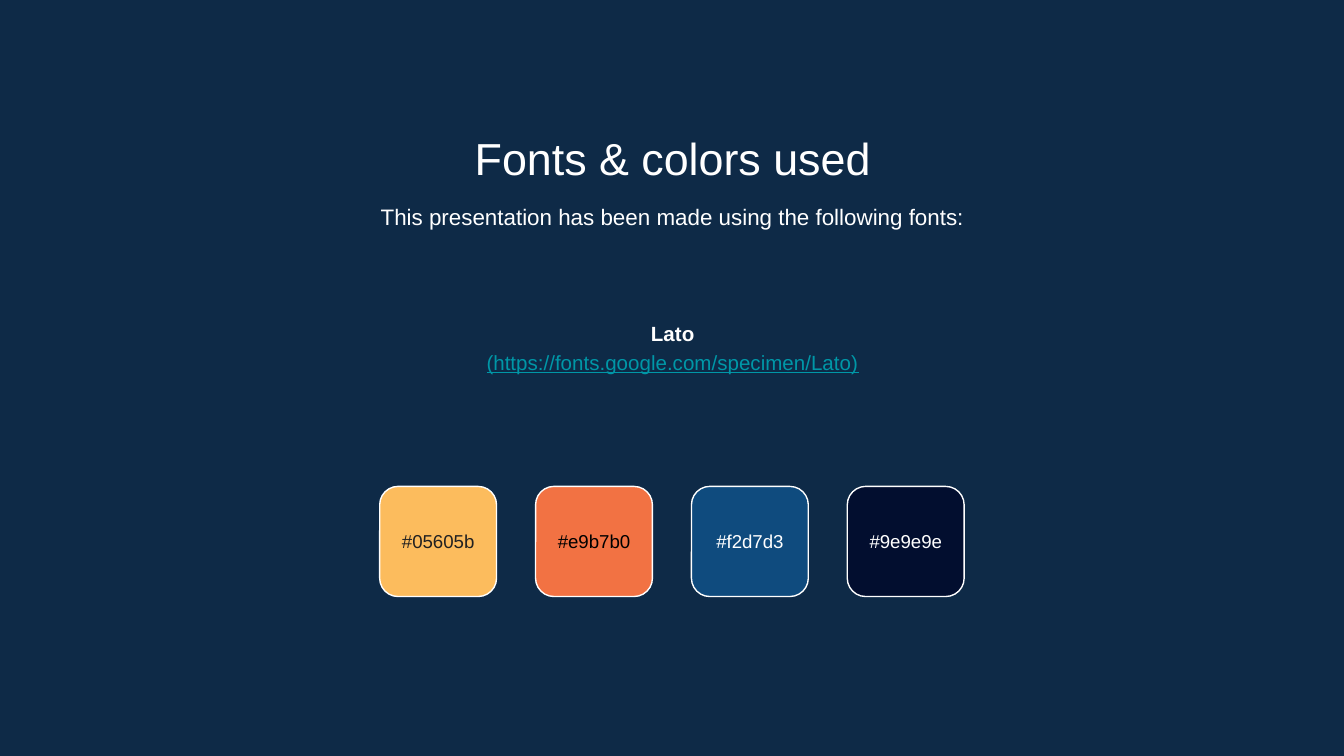
from typing import NamedTuple

from pptx import Presentation
from pptx.dml.color import RGBColor
from pptx.enum.shapes import MSO_SHAPE as Preset
from pptx.enum.text import MSO_ANCHOR as Anchor, PP_ALIGN as Align
from pptx.slide import Slide
from pptx.text.text import TextFrame
from pptx.util import Pt

COLORS = {
    "background": "0E2A47",
    "white": "FFFFFF",
    "black": "000000",
    "charcoal": "212121",
    "link": "0097A7",
    "yellow": "FCBC5D",
    "orange": "F27243",
    "blue": "0F4B7E",
    "navy": "020E2F",
}
FONT = "Arial"
SLIDE_WIDTH, SLIDE_HEIGHT = 720, 405
TEXT_LEFT, TEXT_WIDTH = 82.8, 555.1
INSET = 7.2
SWATCH_TOP, SWATCH_WIDTH, SWATCH_HEIGHT = 260.6, 62.6, 59
SWATCH_PITCH = 83.5


class Line(NamedTuple):
    text: str
    size: float
    color: str = "white"
    bold: bool = False
    underline: bool = False


class Swatch(NamedTuple):
    label: str
    fill: str
    label_color: str


SWATCHES = [
    Swatch("#05605b", "yellow", "charcoal"),
    Swatch("#e9b7b0", "orange", "black"),
    Swatch("#f2d7d3", "blue", "white"),
    Swatch("#9e9e9e", "navy", "white"),
]


def rgb(name: str) -> RGBColor:
    return RGBColor.from_string(COLORS[name])


def write_lines(frame: TextFrame, lines: list[Line], anchor: Anchor,
                spacing: float = 1.0, top_inset: float = INSET) -> None:
    """Fill a frame with centred paragraphs, one for each line."""
    frame.word_wrap = True
    frame.vertical_anchor = anchor
    frame.margin_left = frame.margin_right = frame.margin_bottom = Pt(INSET)
    frame.margin_top = Pt(top_inset)
    frame.text = "\n".join(line.text for line in lines)
    for paragraph, line in zip(frame.paragraphs, lines):
        paragraph.alignment = Align.CENTER
        paragraph.line_spacing = spacing
        font = paragraph.runs[0].font
        font.name = FONT
        font.size = Pt(line.size)
        font.bold = line.bold
        font.underline = line.underline
        font.color.rgb = rgb(line.color)


def add_title(slide: Slide, line: Line) -> None:
    title = slide.shapes.title
    title.left, title.top = Pt(TEXT_LEFT), Pt(59.8)
    title.width, title.height = Pt(TEXT_WIDTH), Pt(38.2)
    write_lines(title.text_frame, [line], Anchor.TOP, top_inset=10)


def add_text(slide: Slide, top: float, height: float, lines: list[Line],
             anchor: Anchor) -> None:
    box = slide.shapes.add_textbox(Pt(TEXT_LEFT), Pt(top), Pt(TEXT_WIDTH), Pt(height))
    write_lines(box.text_frame, lines, anchor, spacing=1.15)


def add_swatch(slide: Slide, left: float, swatch: Swatch) -> None:
    tile = slide.shapes.add_shape(Preset.ROUNDED_RECTANGLE, Pt(left), Pt(SWATCH_TOP),
                                  Pt(SWATCH_WIDTH), Pt(SWATCH_HEIGHT))
    tile.shadow.inherit = False
    tile.fill.solid()
    tile.fill.fore_color.rgb = rgb(swatch.fill)
    tile.line.color.rgb = rgb("white")
    tile.line.width = Pt(0.75)
    label = Line(swatch.label, 10, swatch.label_color)
    write_lines(tile.text_frame, [label], Anchor.MIDDLE)


def main() -> None:
    deck = Presentation()
    deck.slide_width, deck.slide_height = Pt(SLIDE_WIDTH), Pt(SLIDE_HEIGHT)
    title_only = deck.slide_layouts[5]
    slide = deck.slides.add_slide(title_only)
    slide.background.fill.solid()
    slide.background.fill.fore_color.rgb = rgb("background")

    add_title(slide, Line("Fonts & colors used", 24))
    intro = Line("This presentation has been made using the following fonts:", 12)
    add_text(slide, 99.4, 34.6, [intro], Anchor.TOP)
    font_details = [
        Line("Lato", 11, bold=True),
        Line("(https://fonts.google.com/specimen/Lato)", 11, "link", underline=True),
    ]
    add_text(slide, 136.1, 98.6, font_details, Anchor.MIDDLE)

    row_width = SWATCH_PITCH * (len(SWATCHES) - 1) + SWATCH_WIDTH
    first_left = (SLIDE_WIDTH - row_width) / 2
    for index, swatch in enumerate(SWATCHES):
        add_swatch(slide, first_left + index * SWATCH_PITCH, swatch)

    deck.save("out.pptx")


if __name__ == "__main__":
    main()
